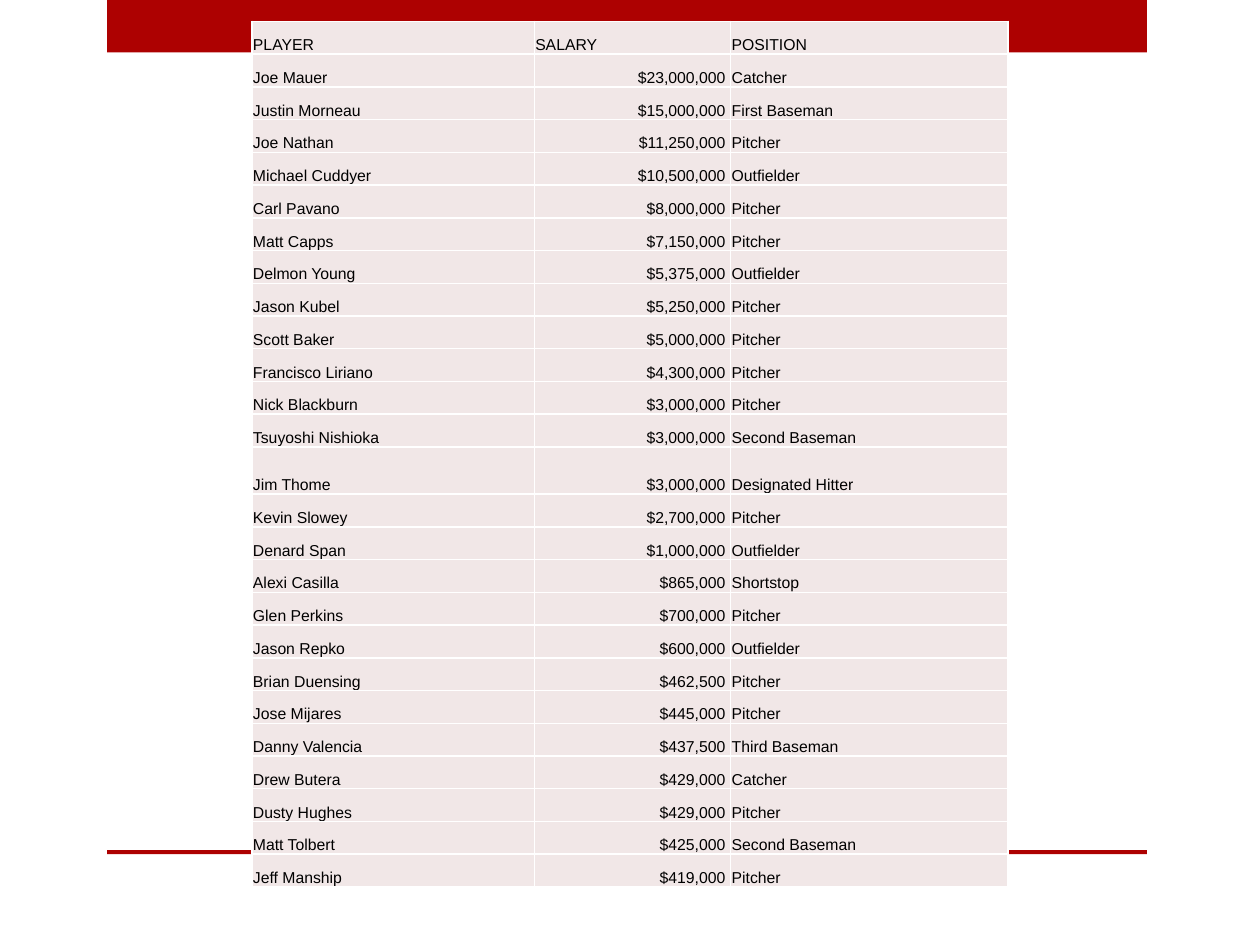
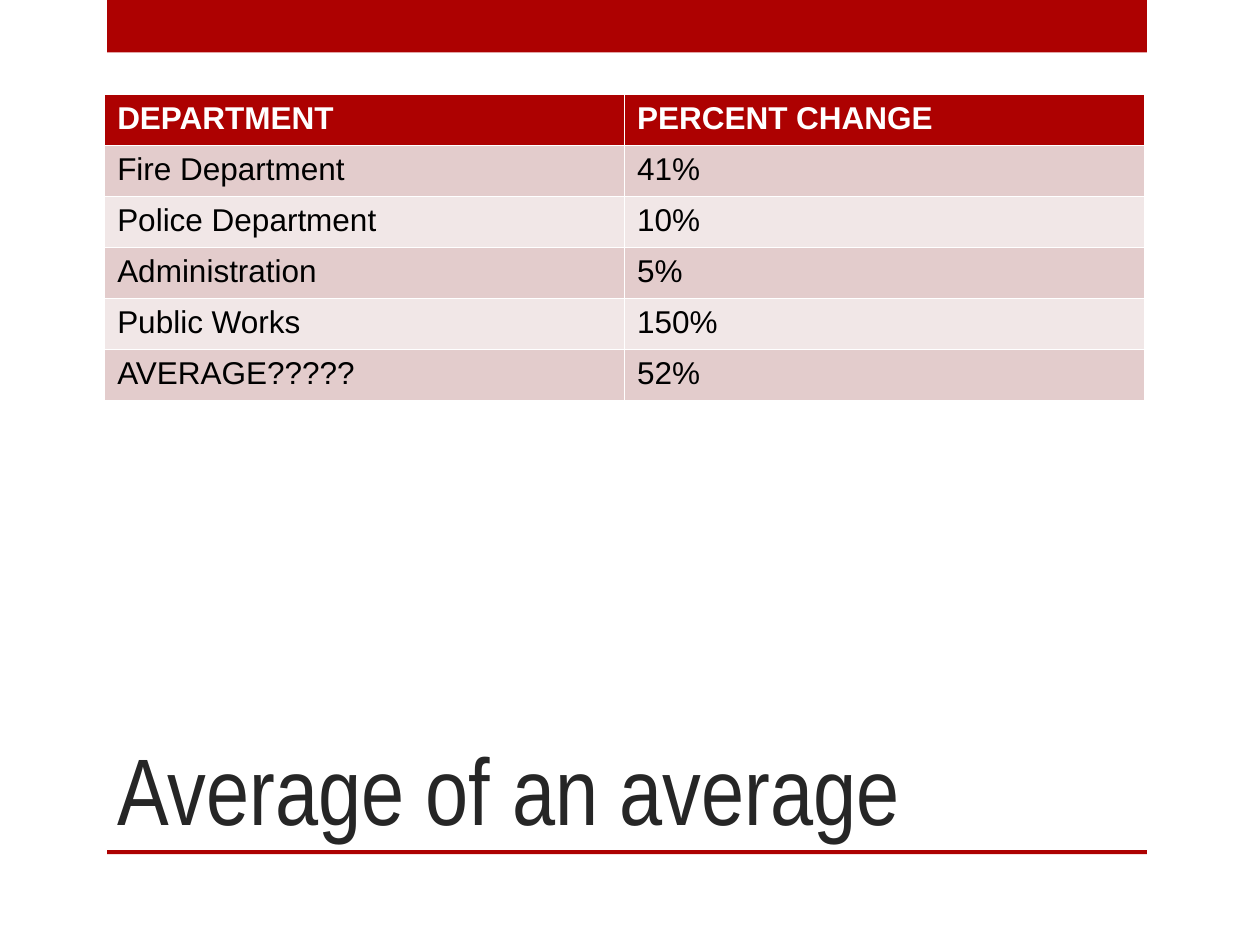
from pptx import Presentation
from pptx.dml.color import RGBColor
from pptx.enum.shapes import MSO_SHAPE
from pptx.enum.text import MSO_ANCHOR, MSO_AUTO_SIZE, PP_ALIGN
from pptx.util import Cm, Pt

RED = "AD0101"
PINK = "E3CCCC"
PALE_PINK = "F1E7E7"
BLACK = "000000"
WHITE = "FFFFFF"
DARK_GREY = "262626"
BODY_FONT = "Arial"
TITLE_FONT = "Arial Narrow"
TITLE_ONLY, BLANK = 5, 6

PLAYERS = [
    ("Joe Mauer", 23000000, "Catcher"),
    ("Justin Morneau", 15000000, "First Baseman"),
    ("Joe Nathan", 11250000, "Pitcher"),
    ("Michael Cuddyer", 10500000, "Outfielder"),
    ("Carl Pavano", 8000000, "Pitcher"),
    ("Matt Capps", 7150000, "Pitcher"),
    ("Delmon Young", 5375000, "Outfielder"),
    ("Jason Kubel", 5250000, "Pitcher"),
    ("Scott Baker", 5000000, "Pitcher"),
    ("Francisco Liriano", 4300000, "Pitcher"),
    ("Nick Blackburn", 3000000, "Pitcher"),
    ("Tsuyoshi Nishioka", 3000000, "Second Baseman"),
    ("Jim Thome", 3000000, "Designated Hitter"),
    ("Kevin Slowey", 2700000, "Pitcher"),
    ("Denard Span", 1000000, "Outfielder"),
    ("Alexi Casilla", 865000, "Shortstop"),
    ("Glen Perkins", 700000, "Pitcher"),
    ("Jason Repko", 600000, "Outfielder"),
    ("Brian Duensing", 462500, "Pitcher"),
    ("Jose Mijares", 445000, "Pitcher"),
    ("Danny Valencia", 437500, "Third Baseman"),
    ("Drew Butera", 429000, "Catcher"),
    ("Dusty Hughes", 429000, "Pitcher"),
    ("Matt Tolbert", 425000, "Second Baseman"),
    ("Jeff Manship", 419000, "Pitcher"),
]

DEPARTMENTS = [
    ("DEPARTMENT", "PERCENT CHANGE"),
    ("Fire Department", "41%"),
    ("Police Department", "10%"),
    ("Administration", "5%"),
    ("Public Works", "150%"),
    ("AVERAGE?????", "52%"),
]


def color(hex_string):
    return RGBColor.from_string(hex_string)


def style_font(font, name, size, hex_string, bold=False):
    font.name = name
    font.size = Pt(size)
    font.bold = bold
    font.color.rgb = color(hex_string)


def add_band(slide, top, height):
    band = slide.shapes.add_shape(
        MSO_SHAPE.RECTANGLE, Cm(2.16), Cm(top), Cm(20.96), Cm(height))
    band.shadow.inherit = False
    band.fill.solid()
    band.fill.fore_color.rgb = color(RED)
    band.line.fill.background()


def add_banded_slide(presentation, layout_index):
    """Add a slide with the red band at the top and the rule near the bottom."""
    slide = presentation.slides.add_slide(presentation.slide_layouts[layout_index])
    add_band(slide, 0, 1.06)
    add_band(slide, 17.14, 0.08)
    return slide


def add_table(slide, left, top, column_widths, row_heights):
    """Add a table whose white grid lines come from the default table style."""
    frame = slide.shapes.add_table(
        len(row_heights), len(column_widths), Cm(left), Cm(top),
        Cm(sum(column_widths)), Cm(sum(row_heights)))
    table = frame.table
    for column, width in zip(table.columns, column_widths):
        column.width = Cm(width)
    for row, height in zip(table.rows, row_heights):
        row.height = Cm(height)
    return table


def fill_cell(cell, text, size, fill, font_color=BLACK, bold=False):
    cell.fill.solid()
    cell.fill.fore_color.rgb = color(fill)
    cell.text = text
    style_font(cell.text_frame.paragraphs[0].font, BODY_FONT, size, font_color, bold)


def add_salary_table(slide):
    rows = [("PLAYER", "SALARY", "POSITION")]
    rows += [(player, f"${salary:,} ", position) for player, salary, position in PLAYERS]
    heights = [0.95 if row[0] == "Jim Thome" else 0.66 for row in rows]
    table = add_table(slide, 5.08, 0.43, [5.69, 3.96, 5.59], heights)
    table.first_row = False
    table.horz_banding = False
    for row_index, row in enumerate(rows):
        for column_index, text in enumerate(row):
            cell = table.cell(row_index, column_index)
            fill_cell(cell, text, 9, PALE_PINK)
            cell.vertical_anchor = MSO_ANCHOR.BOTTOM
            cell.margin_left = cell.margin_top = cell.margin_right = Cm(0.02)
            cell.margin_bottom = 0
            if row_index and column_index == 1:
                cell.text_frame.paragraphs[0].alignment = PP_ALIGN.RIGHT


def add_department_table(slide):
    table = add_table(slide, 2.11, 1.9, [10.48] * 2, [1.03] * len(DEPARTMENTS))
    for row_index, row in enumerate(DEPARTMENTS):
        for column_index, text in enumerate(row):
            cell = table.cell(row_index, column_index)
            if row_index == 0:
                fill_cell(cell, text, 18, RED, WHITE, bold=True)
            else:
                fill_cell(cell, text, 18, PINK if row_index % 2 else PALE_PINK)


def set_title(slide, text):
    title = slide.shapes.title
    title.left, title.top = Cm(2.11), Cm(12.7)
    title.width, title.height = Cm(18.85), Cm(4.45)
    frame = title.text_frame
    frame.text = text
    frame.word_wrap = True
    frame.auto_size = MSO_AUTO_SIZE.NONE
    frame.vertical_anchor = MSO_ANCHOR.BOTTOM
    paragraph = frame.paragraphs[0]
    paragraph.alignment = PP_ALIGN.LEFT
    style_font(paragraph.font, TITLE_FONT, 54, DARK_GREY)


def main():
    presentation = Presentation()
    presentation.slide_width = Cm(25.4)
    presentation.slide_height = Cm(19.05)

    add_salary_table(add_banded_slide(presentation, BLANK))

    average_slide = add_banded_slide(presentation, TITLE_ONLY)
    set_title(average_slide, "Average of an average")
    add_department_table(average_slide)

    presentation.save("out.pptx")


if __name__ == "__main__":
    main()
